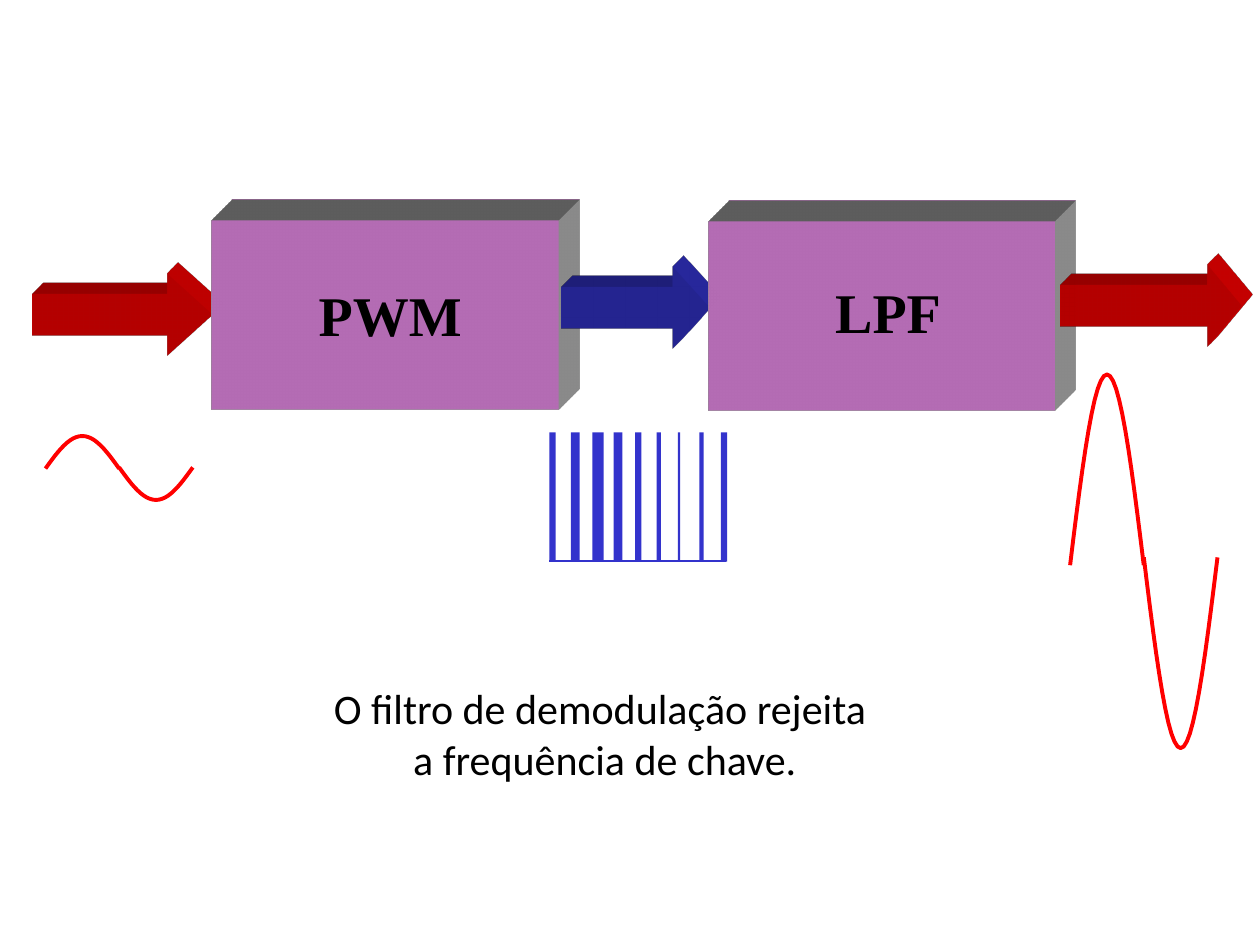
import math

import lxml.etree
import pptx
import pptx.dml.color
import pptx.enum.shapes
import pptx.enum.text
import pptx.oxml
import pptx.oxml.ns
import pptx.util

Pt = pptx.util.Pt
SHAPES = pptx.enum.shapes.MSO_SHAPE

COLORS = {
    "signal": "FF0000",
    "pulse": "3333CC",
    "block": "FF99FF",
    "block_side": "9E9E9E",
    "text": "000000",
}
LABEL_FORMAT = {"name": "Times New Roman", "size": Pt(32), "bold": True}
CAPTION_FORMAT = {"name": "Calibri", "size": Pt(24)}

BAR_TOP, BAR_HEIGHT, BAR_PITCH, BAR_LEFT = 247, 74, 12.24, 314
BAR_WIDTHS = [3.6, 5, 6.5, 5, 3.6, 2.4, 1.2, 2.4, 3.6]


def rgb(name):
    return pptx.dml.color.RGBColor.from_string(COLORS[name])


def paint(shape, color):
    """Flat fill with neither outline nor shadow."""
    shape.shadow.inherit = False
    shape.fill.solid()
    shape.fill.fore_color.rgb = rgb(color)
    shape.line.fill.background()


def extrude(shape, depth, side):
    """Oblique depth towards the top right."""
    namespace = pptx.oxml.ns.nsdecls("a")
    shape._element.spPr.append(pptx.oxml.parse_xml(
        f'<a:scene3d {namespace}><a:camera prst="legacyObliqueTopRight"/>'
        '<a:lightRig rig="legacyFlat3" dir="b"/></a:scene3d>'))
    shape._element.spPr.append(pptx.oxml.parse_xml(
        f'<a:sp3d {namespace} extrusionH="{Pt(depth)}" prstMaterial="legacyMatte">'
        '<a:bevelT w="13500" h="13500" prst="angle"/>'
        '<a:bevelB w="13500" h="13500" prst="angle"/>'
        f'<a:extrusionClr><a:srgbClr val="{COLORS[side]}"/></a:extrusionClr></a:sp3d>'))


def add_block(slide, left, top):
    block = slide.shapes.add_shape(SHAPES.RECTANGLE, Pt(left), Pt(top), Pt(198), Pt(108))
    paint(block, "block")
    extrude(block, 33.9, "block_side")


def add_arrow(slide, left, top, width, head, color):
    arrow = slide.shapes.add_shape(
        SHAPES.RIGHT_ARROW, Pt(left), Pt(top), Pt(width), Pt(46.8))
    arrow.adjustments[0] = 0.505
    arrow.adjustments[1] = head
    paint(arrow, color)
    extrude(arrow, 17.9, color)


def add_text(slide, left, top, width, height, lines, format_values, alignment=None):
    box = slide.shapes.add_textbox(Pt(left), Pt(top), Pt(width), Pt(height))
    frame = box.text_frame
    frame.word_wrap = False
    frame.auto_size = pptx.enum.text.MSO_AUTO_SIZE.SHAPE_TO_FIT_TEXT
    frame.text = "\n".join(lines)
    for paragraph in frame.paragraphs:
        paragraph.alignment = alignment
        for name, value in format_values.items():
            setattr(paragraph.font, name, value)
        paragraph.font.color.rgb = rgb("text")


def add_sine(slide, left, baselines, amplitude, half_width=42.1, steps=24):
    """One period: an upper and a lower half wave, each with its baseline."""
    group = slide.shapes.add_group_shape()
    for index, (baseline, sign) in enumerate(zip(baselines, (-1, 1))):
        start = left + index * half_width
        points = [
            (Pt(start + half_width * step / steps),
             Pt(baseline + sign * amplitude * math.sin(math.pi * step / steps)))
            for step in range(steps + 1)
        ]
        builder = group.shapes.build_freeform(*points[0])
        builder.add_line_segments(points[1:], close=False)
        wave = builder.convert_to_shape()
        wave.shadow.inherit = False
        wave.fill.background()
        wave.line.color.rgb = rgb("signal")
        wave.line.width = Pt(2.25)


def add_pulse_train(slide):
    group = slide.shapes.add_group_shape()
    for index, width in enumerate(BAR_WIDTHS):
        bar = group.shapes.add_shape(
            SHAPES.RECTANGLE, Pt(BAR_LEFT + index * BAR_PITCH), Pt(BAR_TOP),
            Pt(width), Pt(BAR_HEIGHT))
        paint(bar, "pulse")
    base = group.shapes.add_connector(
        pptx.enum.shapes.MSO_CONNECTOR.STRAIGHT,
        Pt(BAR_LEFT), Pt(320.6), Pt(415), Pt(320.6))
    base.line.color.rgb = rgb("pulse")
    base.line.width = Pt(0.75)
    lxml.etree.SubElement(base._element.spPr, pptx.oxml.ns.qn("a:effectLst"))


def main():
    presentation = pptx.Presentation()
    presentation.slide_width = Pt(720)
    presentation.slide_height = Pt(540)
    slide = presentation.slides.add_slide(presentation.slide_layouts[6])

    # Input and modulator
    add_arrow(slide, 18.5, 156.2, 103, 0.559, "signal")
    add_block(slide, 121, 126)
    add_text(slide, 175, 157, 96.5, 41.8, ["PWM"], LABEL_FORMAT)

    # Waveforms under the chain
    add_sine(slide, 26, (267.8, 267.1), 18.6)
    add_pulse_train(slide)
    add_sine(slide, 611.5, (323, 318.5), 109)

    # Filter and output
    add_arrow(slide, 321, 152.6, 84.2, 0.452, "pulse")
    add_block(slide, 404.6, 126.7)
    add_arrow(slide, 606.2, 151.2, 103, 0.419, "signal")
    add_text(slide, 470.2, 154.8, 74.9, 41.8, ["LPF"], LABEL_FORMAT)

    # Caption
    add_text(slide, 182.2, 386.6, 326.9, 65.5,
             ["O filtro de demodulação rejeita ", "a frequência de chave."],
             CAPTION_FORMAT, pptx.enum.text.PP_ALIGN.CENTER)

    presentation.save("out.pptx")


if __name__ == "__main__":
    main()
